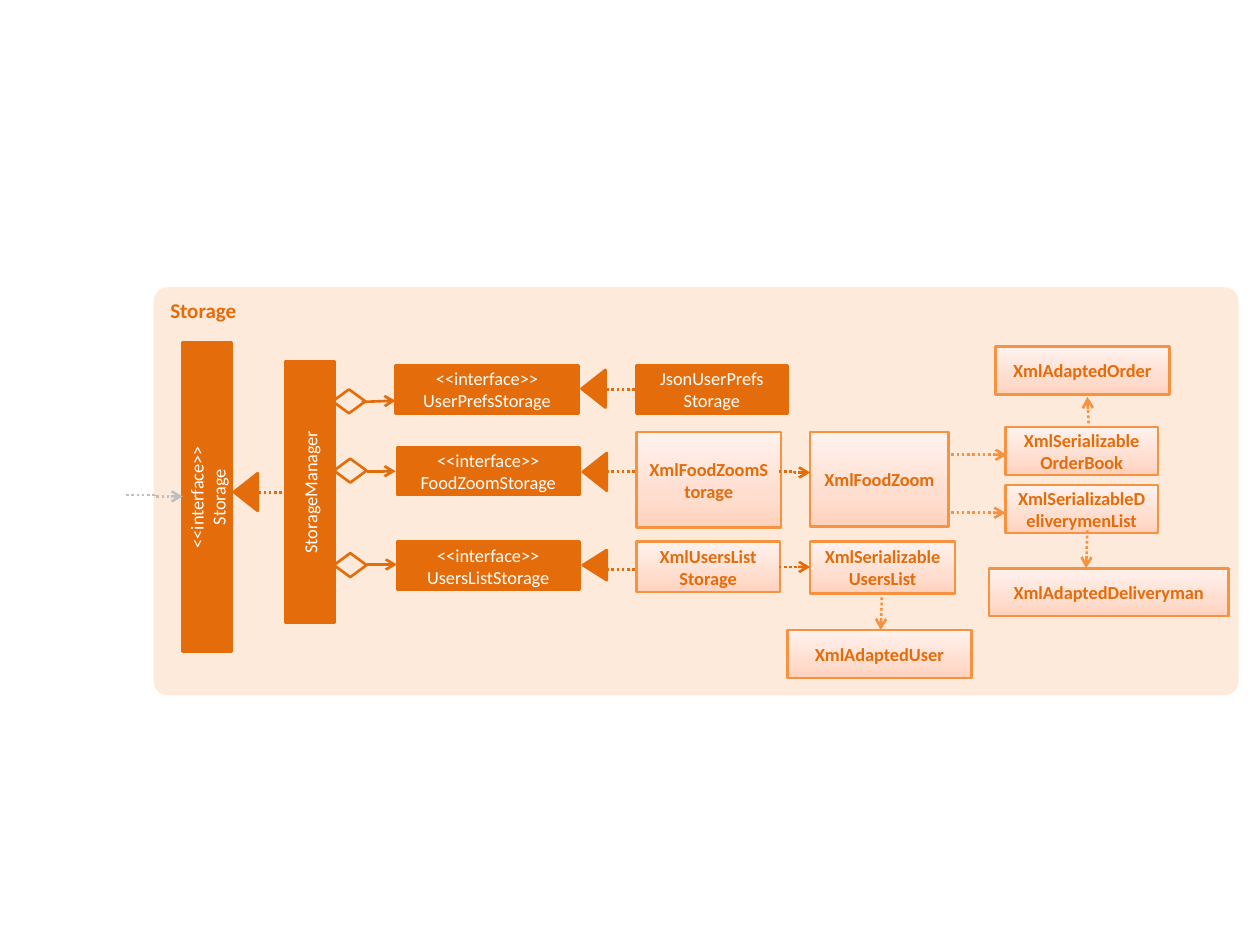
from lxml.etree import SubElement
from pptx import Presentation
from pptx.dml.color import RGBColor
from pptx.enum.dml import MSO_LINE
from pptx.enum.shapes import MSO_CONNECTOR, MSO_SHAPE
from pptx.enum.text import MSO_ANCHOR, PP_ALIGN
from pptx.oxml.ns import qn
from pptx.util import Inches, Pt

FONT = "Calibri"
COLORS = {"panel": "FDEADA", "solid": "E46C0A", "edge": "F69240",
          "outside": "BFBFBF", "white": "FFFFFF"}
GRADIENT = [(0, "FFD2BD"), (35, "FFDED0"), (100, "FFF2ED")]

# Text and left, top, width, height; "\v" is a line break, "\n" a new paragraph
PANEL = ("Storage", 1.22, 2.28, 8.61, 3.24)
BARS = [  # turned to read upwards
    ("StorageManager", 1.42, 3.71, 2.08, 0.39),
    ("<<interface>>\nStorage", 0.42, 3.75, 2.45, 0.39),
]
SOLID_BOXES = [
    ("<<interface>>\vUserPrefsStorage", 3.14, 2.9, 1.45, 0.38),
    ("<<interface>>\nFoodZoomStorage", 3.15, 3.55, 1.45, 0.38),
    ("<<interface>>\nUsersListStorage", 3.15, 4.3, 1.45, 0.38),
    ("JsonUserPrefs\vStorage", 5.05, 2.9, 1.2, 0.38),
]
XML_BOXES = [
    ("XmlFoodZoomStorage", 5.05, 3.43, 1.15, 0.76),
    ("XmlFoodZoom", 6.43, 3.43, 1.1, 0.75),
    ("XmlAdaptedOrder", 7.9, 2.75, 1.38, 0.38),
    ("XmlSerializableOrderBook", 7.98, 3.39, 1.21, 0.38),
    ("XmlSerializableDeliverymenList", 7.98, 3.85, 1.21, 0.38),
    ("XmlAdaptedDeliveryman", 7.85, 4.51, 1.9, 0.38),
    ("XmlUsersList Storage", 5.05, 4.3, 1.14, 0.4),
    ("XmlSerializableUsersList", 6.43, 4.3, 1.15, 0.41),
    ("XmlAdaptedUser", 6.25, 5, 1.46, 0.38),
]
DIAMONDS = [(2.64, 3.09), (2.65, 3.64), (2.65, 4.39)]  # left, top
TRIANGLES = [  # left, top, width before turning
    (1.8, 3.81, 0.3), (4.56, 2.99, 0.3), (4.57, 3.65, 0.3), (4.6, 4.39, 0.24),
]
MARK_WIDTH, MARK_HEIGHT = 0.26, 0.19

# Connector groups: kind, colour, dotted, arrow, (x1, y1, x2, y2) list
STRAIGHT, ELBOW = MSO_CONNECTOR.STRAIGHT, MSO_CONNECTOR.ELBOW
CONNECTORS = [
    (STRAIGHT, "solid", False, True, [
        (2.87, 3.19, 3.14, 3.18), (2.91, 3.74, 3.14, 3.74), (2.91, 4.48, 3.15, 4.48)]),
    (STRAIGHT, "solid", True, False, [(2.05, 3.91, 2.28, 3.91)]),
    (ELBOW, "solid", True, False, [
        (4.81, 3.09, 5.05, 3.09), (4.81, 3.74, 5.05, 3.74), (4.81, 4.52, 5.06, 4.52)]),
    (ELBOW, "solid", True, True, [
        (6.18, 3.74, 6.43, 3.75), (6.18, 4.5, 6.43, 4.5)]),
    (ELBOW, "edge", True, True, [
        (7.55, 3.61, 7.99, 3.61), (7.55, 4.07, 7.98, 4.07)]),
    (STRAIGHT, "edge", True, True, [
        (8.64, 3.36, 8.63, 3.15), (8.63, 4.21, 8.62, 4.51), (7, 4.7, 6.99, 5)]),
    (ELBOW, "outside", True, True, [(1, 3.93, 1.45, 3.94)]),
]


def color(name):
    return RGBColor.from_string(COLORS[name])


def set_gradient(shape):
    shape.fill.gradient()
    shape.fill.gradient_angle = 90
    stops = shape._element.spPr.find(qn("a:gradFill")).find(qn("a:gsLst"))
    for stop in list(stops):
        stops.remove(stop)
    for position, hex_color in GRADIENT:
        stop = SubElement(stops, qn("a:gs"), pos=str(position * 1000))
        SubElement(stop, qn("a:srgbClr"), val=hex_color)


def add_shape(slide, kind, box, fill=None, line=None, rotation=0):
    shape = slide.shapes.add_shape(kind, *(Inches(value) for value in box))
    shape.shadow.inherit = False
    shape.rotation = rotation
    if fill == "gradient":
        set_gradient(shape)
    elif fill:
        shape.fill.solid()
        shape.fill.fore_color.rgb = color(fill)
    else:
        shape.fill.background()
    if line:
        shape.line.color.rgb = color(line)
        shape.line.width = Pt(1.5)
    else:
        shape.line.fill.background()
    return shape


def write(shape, text, font_color, size=10.5, bold=False,
          alignment=PP_ALIGN.CENTER, anchor=MSO_ANCHOR.MIDDLE):
    text_frame = shape.text_frame
    text_frame.text = text
    text_frame.word_wrap = True
    text_frame.vertical_anchor = anchor
    for paragraph in text_frame.paragraphs:
        paragraph.alignment = alignment
        for run in paragraph.runs:
            run.font.name = FONT
            run.font.size = Pt(size)
            run.font.bold = bold
            run.font.color.rgb = color(font_color)


def add_connector(slide, kind, line_color, dotted, arrow, ends):
    connector = slide.shapes.add_connector(kind, *(Inches(value) for value in ends))
    connector.line.color.rgb = color(line_color)
    connector.line.width = Pt(1.5)
    if dotted:
        connector.line.dash_style = MSO_LINE.ROUND_DOT
    properties = connector._element.spPr
    if arrow:
        SubElement(properties.find(qn("a:ln")), qn("a:tailEnd"), type="arrow")
    SubElement(properties, qn("a:effectLst"))


def main():
    presentation = Presentation()
    presentation.slide_width, presentation.slide_height = Inches(10), Inches(7.5)
    slide = presentation.slides.add_slide(presentation.slide_layouts[6])

    # Component panel
    title, *box = PANEL
    panel = add_shape(slide, MSO_SHAPE.ROUNDED_RECTANGLE, box, "panel")
    panel.adjustments[0] = 0.035
    write(panel, title, "solid", 12, True, PP_ALIGN.LEFT, MSO_ANCHOR.TOP)

    # Class boxes
    for boxes, rotation in ((BARS, 270), (SOLID_BOXES, 0)):
        for text, *box in boxes:
            shape = add_shape(slide, MSO_SHAPE.RECTANGLE, box, "solid", "solid", rotation)
            write(shape, text, "white")
    for text, *box in XML_BOXES:
        shape = add_shape(slide, MSO_SHAPE.RECTANGLE, box, "gradient", "edge")
        write(shape, text, "solid", bold=True)

    # Aggregation and inheritance marks
    for left, top in DIAMONDS:
        add_shape(slide, MSO_SHAPE.FLOWCHART_DECISION,
                  (left, top, MARK_WIDTH, MARK_HEIGHT), line="solid")
    for left, top, width in TRIANGLES:
        add_shape(slide, MSO_SHAPE.ISOSCELES_TRIANGLE,
                  (left, top, width, MARK_HEIGHT), "solid", "solid", 270)

    # Connectors
    for *style, lines in CONNECTORS:
        for ends in lines:
            add_connector(slide, *style, ends)

    presentation.save("out.pptx")


if __name__ == "__main__":
    main()
